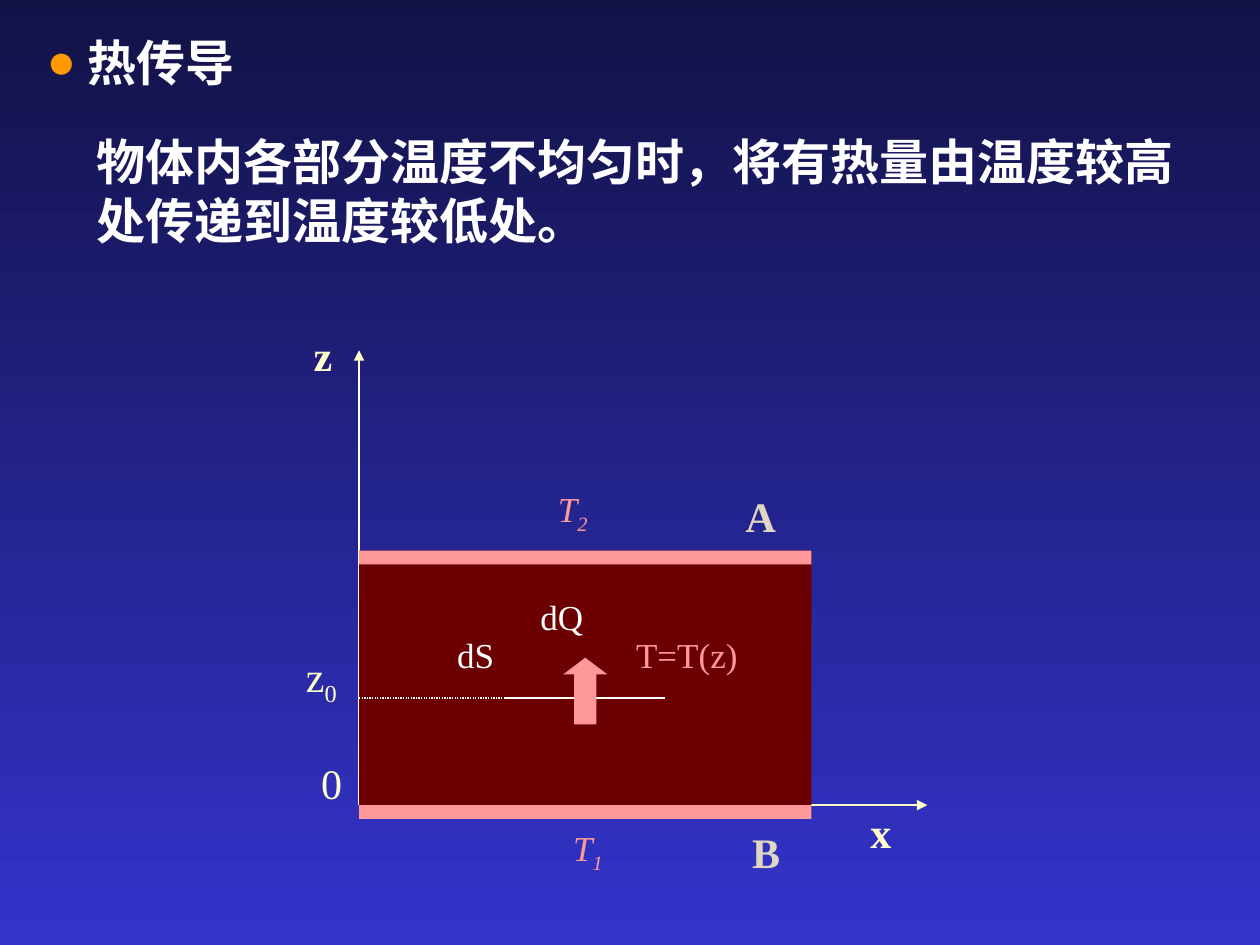
from lxml import etree
from pptx import Presentation
from pptx.dml.color import RGBColor
from pptx.enum import dml, shapes, text
from pptx.oxml import ns
from pptx.util import Inches, Pt

WHITE = RGBColor(0xFF, 0xFF, 0xFF)
CREAM = RGBColor(0xFF, 0xFF, 0xCC)
SAND = RGBColor(0xDF, 0xD6, 0xC3)
PINK = RGBColor(0xFF, 0x99, 0x99)
MAROON = RGBColor(0x6C, 0x00, 0x00)
NAVY = RGBColor(0x12, 0x12, 0x47)
BLUE = RGBColor(0x33, 0x33, 0xCC)

SANS = "Noto Sans CJK SC"
SERIF = "Times New Roman"

LEFT, WIDTH = 2.85, 3.59
TOP, BASE = 4.37, 6.39
PLATE = 0.11
LEVEL = 5.54


def add_tag(parent, tag, **attrs):
    return etree.SubElement(parent, ns.qn(tag), attrs)


def paint_back(slide):
    fill = slide.background.fill
    fill.gradient()
    fill.gradient_angle = 270
    for stop, color, place in zip(fill.gradient_stops, (NAVY, BLUE), (0, 1)):
        stop.color.rgb = color
        stop.position = place


def set_font(para, name, size, color, bold=False, italic=False):
    font = para.font
    font.name, font.size = name, Pt(size)
    font.bold, font.italic = bold, italic
    font.color.rgb = color


def set_prose(box, words, bullet=False):
    """Fill a box with one bold Chinese paragraph."""
    frame = box.text_frame
    frame.word_wrap = True
    frame.auto_size = text.MSO_AUTO_SIZE.NONE
    frame.vertical_anchor = text.MSO_ANCHOR.TOP
    para = frame.paragraphs[0]
    para.text = words
    para.alignment = text.PP_ALIGN.LEFT
    para.line_spacing = Pt(33.7)
    if bullet:
        props = para._p.get_or_add_pPr()
        add_tag(add_tag(props, "a:buClr"), "a:srgbClr", val="FF9900")
        add_tag(props, "a:buFont", typeface=SERIF)
        add_tag(props, "a:buChar", char="●")
    set_font(para, SANS, 28, WHITE, bold=True)
    add_tag(para.font._element, "a:ea", typeface=SANS)


def add_label(group, words, at, size, color, sub="", bold=False, italic=False):
    """Add a one-line label; no right inset, so that it never wraps."""
    box = group.add_textbox(*map(Inches, at))
    frame = box.text_frame
    frame.word_wrap = True
    frame.auto_size = text.MSO_AUTO_SIZE.NONE
    frame.margin_right = 0
    para = frame.paragraphs[0]
    para.add_run().text = words
    if sub:
        run = para.add_run()
        run.text = sub
        run.font._element.set("baseline", "-25000")
    set_font(para, SERIF, size, color, bold, italic)


def add_line(group, start, end, color, arrow=False, dotted=False):
    line = group.add_connector(
        shapes.MSO_CONNECTOR.STRAIGHT, *map(Inches, start + end))
    line.line.color.rgb = color
    line.line.width = Pt(0.75)
    if dotted:
        line.line.dash_style = dml.MSO_LINE.ROUND_DOT
    if arrow:
        add_tag(line.line._get_or_add_ln(), "a:tailEnd", type="triangle")
    add_tag(line._element.spPr, "a:effectLst")


def add_solid(group, kind, at, color):
    shape = group.add_shape(kind, *map(Inches, at))
    shape.shadow.inherit = False
    shape.fill.solid()
    shape.fill.fore_color.rgb = color
    shape.line.fill.background()
    return shape


def draw_figure(group):
    rect = shapes.MSO_SHAPE.RECTANGLE
    origin = (LEFT, BASE)
    add_line(group, origin, (7.36, BASE), CREAM, arrow=True)
    add_line(group, origin, (LEFT, 2.78), CREAM, arrow=True)
    add_solid(group, rect, (LEFT, TOP, WIDTH, BASE - TOP), MAROON)
    add_line(group, (LEFT, LEVEL), (4.12, LEVEL), WHITE, dotted=True)
    add_line(group, (4.01, LEVEL), (5.28, LEVEL), WHITE)
    flow = add_solid(group, shapes.MSO_SHAPE.UP_ARROW,
                     (4.47, 5.22, 0.35, 0.53), PINK)
    flow.adjustments[1] = 0.38
    for top in (BASE, TOP):
        add_solid(group, rect, (LEFT, top, WIDTH, PLATE), PINK)

    add_label(group, "z", (2.39, 2.57, 0.35, 0.5), 24, CREAM, bold=True)
    add_label(group, "x", (6.81, 6.35, 0.36, 0.5), 24, CREAM, bold=True)
    add_label(group, "0", (2.45, 5.96, 0.36, 0.5), 24, CREAM)
    add_label(group, "z", (2.33, 5.11, 0.44, 0.56), 24, CREAM, sub="0")
    add_label(group, "A", (5.82, 3.84, 0.44, 0.5), 24, SAND, bold=True)
    add_label(group, "B", (5.87, 6.51, 0.42, 0.5), 24, SAND, bold=True)
    add_label(group, "dS", (3.53, 4.98, 0.49, 0.44), 20, WHITE)
    add_label(group, "dQ", (4.19, 4.68, 0.98, 0.44), 20, WHITE)
    add_label(group, "T", (4.33, 3.82, 0.43, 0.48), 20, PINK, "2", italic=True)
    add_label(group, "T", (4.45, 6.51, 0.43, 0.48), 20, PINK, "1", italic=True)
    add_label(group, "T=T(z)", (4.95, 4.98, 1, 0.44), 20, PINK)


def main():
    deck = Presentation()
    deck.slide_width, deck.slide_height = Inches(10), Inches(7.5)
    slide = deck.slides.add_slide(deck.slide_layouts[5])
    paint_back(slide)

    title = slide.shapes.title
    title.left, title.top = Inches(0.27), Inches(0.21)
    title.width, title.height = Inches(8.52), Inches(0.57)
    set_prose(title, " 热传导", bullet=True)

    body = slide.shapes.add_textbox(
        Inches(0.67), Inches(0.99), Inches(8.86), Inches(1.04))
    set_prose(body, "物体内各部分温度不均匀时，将有热量由温度较高处传递到温度较低处。")

    draw_figure(slide.shapes.add_group_shape().shapes)
    deck.save("out.pptx")


if __name__ == "__main__":
    main()
